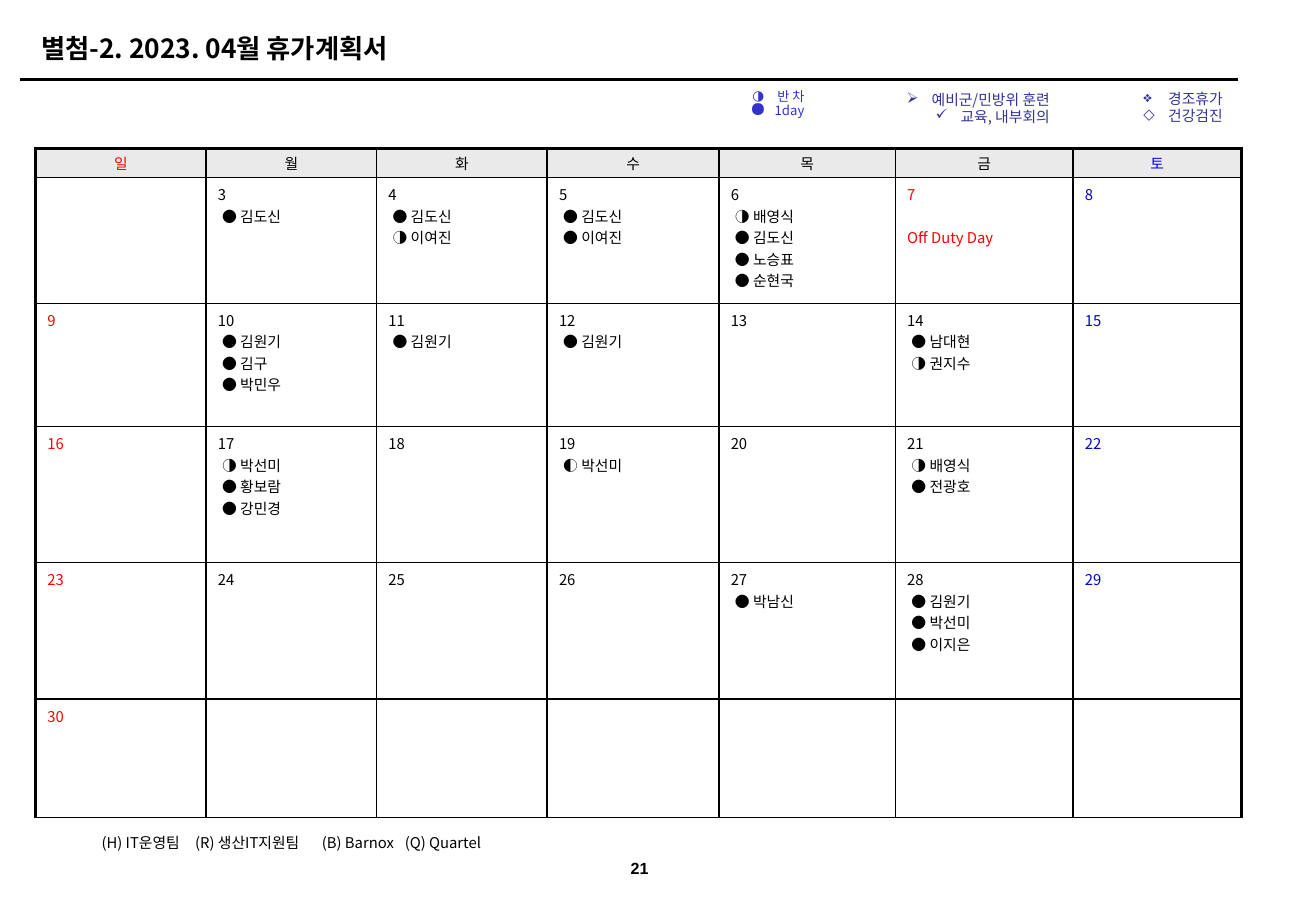
from lxml import etree
from pptx import Presentation, util as u
from pptx.dml.color import RGBColor
from pptx.enum import shapes, text
from pptx.oxml.ns import qn

BLACK = RGBColor(0x00, 0x00, 0x00)
RED = RGBColor(0xFF, 0x00, 0x00)
HEADER_BLUE = RGBColor(0x00, 0x00, 0xFF)
SATURDAY_BLUE = RGBColor(0x00, 0x00, 0xCC)
DAY_BLUE = RGBColor(0x33, 0x33, 0xCC)
EVENT_BLUE = RGBColor(0x33, 0x33, 0x99)
HEADER_GREY = RGBColor(0xEA, 0xEA, 0xEA)

KOREAN_FONT = "Noto Sans CJK KR"
LEFT, CENTER, RIGHT = text.PP_ALIGN.LEFT, text.PP_ALIGN.CENTER, text.PP_ALIGN.RIGHT
TOP, MIDDLE = text.MSO_ANCHOR.TOP, text.MSO_ANCHOR.MIDDLE

WEEKDAYS = "일월화수목금토"
COLUMN_WIDTHS = [14.4, 14.4, 14.4, 14.5, 14.9, 15, 14.2]
ROW_HEIGHTS = [2.5, 10.6, 10.4, 11.5, 11.5, 10]
FIRST_DAY, LAST_DAY, HOLIDAY = 3, 30, 7
LEAVE = {
    3: ["● 김도신"],
    4: ["● 김도신", "◑ 이여진"],
    5: ["● 김도신", "● 이여진"],
    6: ["◑ 배영식", "● 김도신", "● 노승표", "● 순현국"],
    10: ["● 김원기", "● 김구", "● 박민우"],
    11: ["● 김원기"],
    12: ["● 김원기"],
    14: ["● 남대현", "◑ 권지수"],
    17: ["◑ 박선미", "● 황보람", "● 강민경"],
    19: ["◐ 박선미"],
    21: ["◑ 배영식", "● 전광호"],
    27: ["● 박남신"],
    28: ["● 김원기", "● 박선미", "● 이지은"],
}


class LeavePlan:
    """Draws the leave plan on a grid of tenth-inch columns and rows."""

    def __init__(self, slide, font=KOREAN_FONT, size=9):
        self.slide, self.font, self.size = slide, font, size

    def grid(self, *counts):
        return [u.Inches(count / 10) for count in counts]

    def add_words(self, paragraph, words, color, align=LEFT, **font_format):
        paragraph.alignment = align
        run = paragraph.add_run()
        run.text = words
        run.font.color.rgb = color
        values = {"name": self.font, "size": u.Pt(self.size), **font_format}
        for name, value in values.items():
            setattr(run.font, name, value)
        east_asian = etree.SubElement(run._r.get_or_add_rPr(), qn("a:ea"))
        east_asian.set("typeface", values["name"])

    def indent(self, paragraph, margin, first=0):
        properties = paragraph._p.get_or_add_pPr()
        for name, value in zip(("marL", "indent"), self.grid(margin, first)):
            properties.set(name, str(value))
        return properties

    def frame(self, place, **frame_format):
        frame = self.slide.shapes.add_textbox(*self.grid(*place)).text_frame
        values = {"word_wrap": True, "vertical_anchor": MIDDLE, **frame_format}
        for name, value in values.items():
            setattr(frame, name, value)
        return frame

    def label(self, place, words, align=LEFT, wrap=False, **font_format):
        frame = self.frame(place, word_wrap=wrap)
        self.add_words(frame.paragraphs[0], words, BLACK, align, **font_format)

    def legend(self, place, items, color, wrap=True):
        frame = self.frame(place, word_wrap=wrap, vertical_anchor=TOP,
                           auto_size=text.MSO_AUTO_SIZE.TEXT_TO_FIT_SHAPE)
        for number, (mark, scale, words) in enumerate(items):
            paragraph = frame.add_paragraph() if number else frame.paragraphs[0]
            properties = self.indent(paragraph, 2.1, -2.1)
            bullet_color = etree.SubElement(properties, qn("a:buClr"))
            etree.SubElement(bullet_color, qn("a:srgbClr")).set("val", str(color))
            etree.SubElement(properties, qn("a:buSzPct")).set("val", str(scale * 1000))
            etree.SubElement(properties, qn("a:buChar")).set("char", mark)
            paragraph.line_spacing = 0.95
            self.add_words(paragraph, words, color, RIGHT)

    def footnote(self, place, teams, stops):
        paragraph = self.frame(place).paragraphs[0]
        tabs = etree.SubElement(paragraph._p.get_or_add_pPr(), qn("a:tabLst"))
        for stop in self.grid(*stops):
            tab = etree.SubElement(tabs, qn("a:tab"))
            tab.set("pos", str(stop))
            tab.set("algn", "l")
        paragraph.line_spacing = 0.95
        self.add_words(paragraph, "\t".join(teams), BLACK)

    def rule(self, start, end, width):
        line = self.slide.shapes.add_connector(
            shapes.MSO_CONNECTOR.STRAIGHT, *self.grid(*start, *end))
        line.line.color.rgb = BLACK
        line.line.width = u.Pt(width)
        etree.SubElement(line._element.spPr, qn("a:effectLst"))

    def borders(self, cell, widths):
        properties = cell._tc.get_or_add_tcPr()
        for side, width in zip("LRTB", widths):
            line = etree.SubElement(properties, qn(f"a:ln{side}"))
            line.set("w", str(u.Pt(width)))
            fill = etree.SubElement(line, qn("a:solidFill"))
            etree.SubElement(fill, qn("a:srgbClr")).set("val", str(BLACK))

    def day(self, cell, day, color):
        frame = cell.text_frame
        self.add_words(frame.paragraphs[0], str(day), color)
        for entry in LEAVE.get(day, []):
            paragraph = frame.add_paragraph()
            self.indent(paragraph, 0.35)
            self.add_words(paragraph, entry, BLACK)
        if day == HOLIDAY:
            paragraph = frame.add_paragraph()
            paragraph.space_before = u.Pt(13)
            self.add_words(paragraph, "Off Duty Day", color)

    def calendar(self, left, top):
        table = self.slide.shapes.add_table(
            len(ROW_HEIGHTS), len(COLUMN_WIDTHS),
            *self.grid(left, top, sum(COLUMN_WIDTHS), sum(ROW_HEIGHTS))).table
        table.first_row = table.horz_banding = False
        for column, width in zip(table.columns, self.grid(*COLUMN_WIDTHS)):
            column.width = width
        for row, height in zip(table.rows, self.grid(*ROW_HEIGHTS)):
            row.height = height
        saturday = len(WEEKDAYS) - 1
        for week, row in enumerate(table.rows):
            for weekday, cell in enumerate(row.cells):
                self.borders(cell, (1 + (weekday == 0), 1 + (weekday == saturday),
                                    1 + (week == 0), 1))
                if week == 0:
                    cell.fill.solid()
                    cell.fill.fore_color.rgb = HEADER_GREY
                    cell.vertical_anchor = MIDDLE
                    cell.margin_top = cell.margin_bottom = u.Inches(0.03)
                    color = {0: RED, saturday: HEADER_BLUE}.get(weekday, BLACK)
                    self.add_words(cell.text_frame.paragraphs[0], WEEKDAYS[weekday],
                                   color, CENTER)
                    continue
                cell.fill.background()
                day = FIRST_DAY - 1 + 7 * (week - 1) + weekday
                if FIRST_DAY <= day <= LAST_DAY:
                    color = {0: RED, saturday: SATURDAY_BLUE}.get(weekday, BLACK)
                    self.day(cell, day, RED if day == HOLIDAY else color)


def main():
    presentation = Presentation()
    presentation.slide_width = u.Inches(11.11)
    presentation.slide_height = u.Inches(7.57)
    plan = LeavePlan(presentation.slides.add_slide(presentation.slide_layouts[6]))
    plan.rule((1.7, 6.7), (104.5, 6.7), 1.5)
    plan.label((51.3, 71.7, 5.4, 3.1), "21", CENTER,
               name="Arial", size=u.Pt(9.8), bold=True)
    plan.calendar(3, 12.5)
    plan.legend((61.7, 7.2, 7.2, 4), [("◑", 100, "반 차"), ("●", 150, "1day")],
                DAY_BLUE, wrap=False)
    plan.label((2.5, 2.2, 99, 3.7), "별첨-2. 2023. 04월 휴가계획서", wrap=True,
               size=u.Pt(16), bold=True)
    plan.legend((74.1, 7.3, 15.5, 3.9),
                [("➢", 100, "예비군/민방위 훈련"), ("✓", 100, "교육, 내부회의")], EVENT_BLUE)
    plan.legend((85.9, 7.2, 18.3, 3.9),
                [("❖", 100, "경조휴가"), ("◇", 100, "건강검진")], EVENT_BLUE)
    plan.footnote((7.6, 70, 34, 2.4),
                  ["(H) IT운영팀", "(R) 생산IT지원팀", "(B) Barnox", "(Q) Quartel"],
                  (7.9, 18.6, 25.6))
    presentation.save("out.pptx")


if __name__ == "__main__":
    main()
